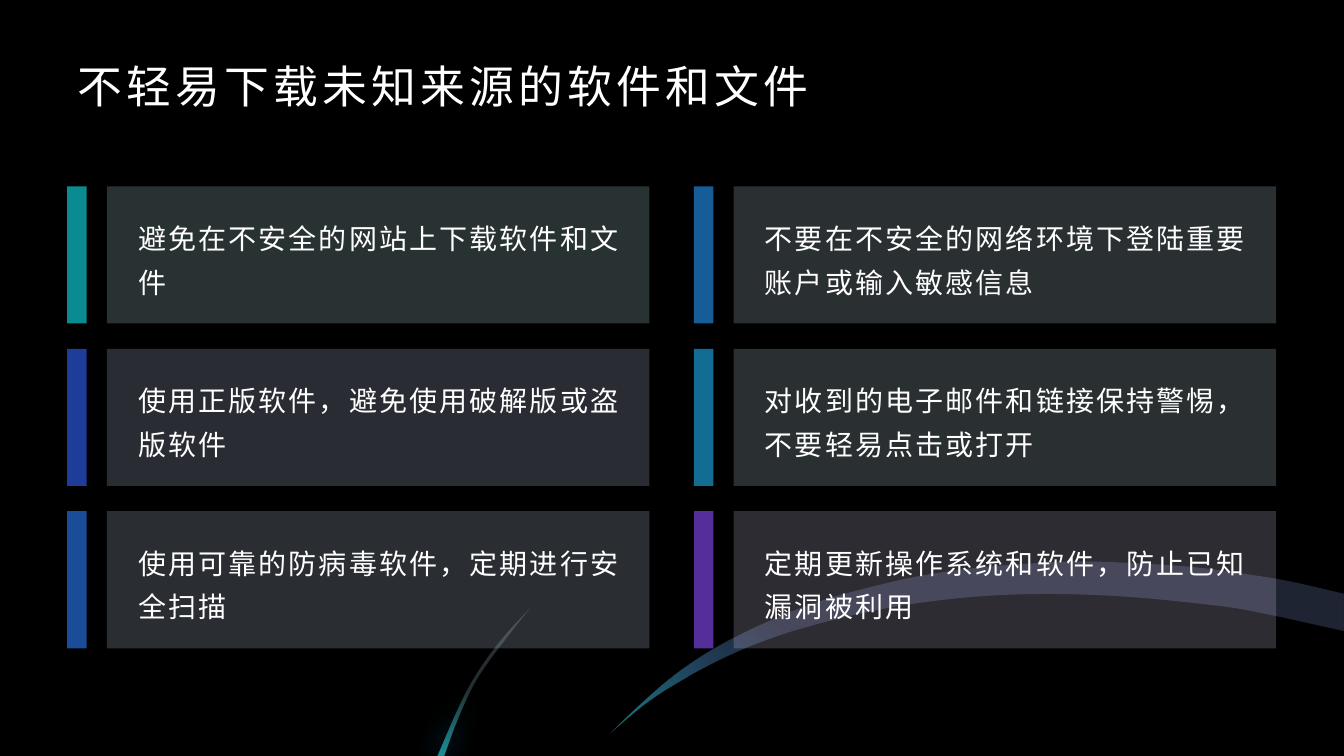
"""Build a dark slide of six safety tips over two curved light trails."""
from lxml import etree
from pptx import Presentation
from pptx import util as u
from pptx.dml.color import RGBColor
from pptx.enum import shapes, text
from pptx.oxml import parse_xml
from pptx.oxml.ns import nsdecls, qn

WHITE = "FFFFFF"
TIPS = [
    [("避免在不安全的网站上下载软件和文件", "CFFBFC", "10E9F2"),
     ("使用正版软件，避免使用破解版或盗版软件", "D6E0FF", "3366FF"),
     ("使用可靠的防病毒软件，定期进行安全扫描", "D5E6FE", "2C80FC")],
    [("不要在不安全的网络环境下登陆重要账户或输入敏感信息", "D3EBFE", "259AFA"),
     ("对收到的电子邮件和链接保持警惕，不要轻易点击或打开", "D2F0FD", "1EB5F7"),
     ("定期更新操作系统和软件，防止已知漏洞被利用", "E8DCFF", "8E4FFF")],
]
RIBBON_TOP = [
    (435.6, 524.2), (458, 502.6), (482.4, 481.7), (510.5, 463), (542.9, 446.4),
    (580.3, 431.3), (619.9, 419.8), (662.4, 410.4), (707, 404.6), (748, 401.8),
    (775.4, 401), (816.5, 402.5), (856, 405.4), (892.8, 410.4), (922.3, 415.4),
    (960, 424.1)]
RIBBON_BOTTOM = [
    (960, 450.7), (907.2, 439.2), (869.8, 432.7), (793.4, 425.5), (720, 424.8),
    (652.3, 431.3), (589.7, 444.2), (541.4, 459.4), (499.7, 478.8),
    (464.4, 500.4), (435.6, 524.2)]
BLADE_LEFT = [(312.5, 540), (333.4, 493.4), (354.7, 461.1), (378.7, 434.2)]
BLADE_RIGHT = [(378.7, 434.2), (345.2, 478.1), (329.8, 507.3), (317.5, 540)]


def paint(target, color, alpha=100):
    """Give a fill a solid colour with an opacity in percent."""
    target.solid()
    target.fore_color.rgb = RGBColor.from_string(color)
    if alpha < 100:
        swatch = target._xPr.find(".//" + qn("a:srgbClr"))
        etree.SubElement(swatch, qn("a:alpha"), val=str(alpha * 1000))


def paint_gradient(shape, stops, angle):
    """Replace a shape's fill by a linear gradient of (position, colour, alpha)."""
    marks = "".join(
        f'<a:gs pos="{place * 1000}"><a:srgbClr val="{color}">'
        f'<a:alpha val="{alpha * 1000}"/></a:srgbClr></a:gs>'
        for place, color, alpha in stops)
    gradient = parse_xml(
        f'<a:gradFill {nsdecls("a")} rotWithShape="1"><a:gsLst>{marks}</a:gsLst>'
        f'<a:lin ang="{angle * 60000}" scaled="0"/></a:gradFill>')
    solid = shape._element.spPr.find(qn("a:solidFill"))
    solid.getparent().replace(solid, gradient)


def add_glow(shape, color, blur):
    """Add a soft centred shadow around a shape."""
    effects = shape._element.spPr.find(qn("a:effectLst"))
    effects.append(parse_xml(
        f'<a:outerShdw {nsdecls("a")} blurRad="{u.Pt(blur)}" dist="0" '
        f'algn="ctr" rotWithShape="0"><a:srgbClr val="{color}"/></a:outerShdw>'))


def smooth(points, steps=6):
    """Return a Catmull-Rom curve through the points."""
    padded = [points[0], *points, points[-1]]
    curve = [points[0]]
    for a, b, c, d in zip(padded, padded[1:], padded[2:], padded[3:]):
        for step in range(1, steps + 1):
            t = step / steps
            curve.append(tuple(
                0.5 * (2 * q + (r - p) * t + (2 * p - 5 * q + 4 * r - s) * t ** 2
                       + (3 * q - p - 3 * r + s) * t ** 3)
                for p, q, r, s in zip(a, b, c, d)))
    return curve


def finish(shape, color, alpha=100):
    """Fill a shape and remove its line and shadow."""
    shape.shadow.inherit = False
    paint(shape.fill, color, alpha)
    shape.line.fill.background()
    return shape


def add_trail(page, edges, color):
    """Draw a closed outline whose edges are smooth curves."""
    outline = [(u.Pt(x), u.Pt(y)) for edge in edges for x, y in smooth(edge)]
    builder = page.shapes.build_freeform(*outline[0])
    builder.add_line_segments(outline[1:], close=True)
    return finish(builder.convert_to_shape(), color)


def add_block(page, left, top, width, height, color, alpha):
    """Draw a translucent rectangle."""
    block = page.shapes.add_shape(
        shapes.MSO_SHAPE.RECTANGLE, *map(u.Pt, (left, top, width, height)))
    finish(block, color, alpha)


def write(frame, words, font_name, size, tracking):
    """Write one white left-aligned paragraph with letter spacing."""
    frame.word_wrap = True
    frame.auto_size = text.MSO_AUTO_SIZE.NONE
    para = frame.paragraphs[0]
    para.text = words
    para.alignment = text.PP_ALIGN.LEFT
    para.font.name = font_name
    para.font.size = u.Pt(size)
    para.font.color.rgb = RGBColor.from_string(WHITE)
    para.font._rPr.set("spc", str(int(tracking * 100)))
    return para


def add_title(page, words):
    """Place and format the title."""
    title = page.shapes.title
    title.left, title.top, title.width, title.height = map(u.Pt, (48, 36, 864, 44.6))
    frame = title.text_frame
    frame.margin_top = frame.margin_bottom = 0
    frame.vertical_anchor = text.MSO_ANCHOR.BOTTOM
    write(frame, words, "Roboto", 32, 3)


def add_tip(page, left, top, words, tint, accent):
    """Draw a tip: a tinted panel, an accent bar and its text."""
    height = 97.9
    add_block(page, left + 28.4, top, 387.4, height, tint, 20)
    add_block(page, left, top, 14, height, accent, 60)
    box = page.shapes.add_textbox(
        *map(u.Pt, (left + 43.5, top + 8.6, 363.6, height - 17.2)))
    box.text_frame.vertical_anchor = text.MSO_ANCHOR.MIDDLE
    para = write(box.text_frame, words, "Karla", 20, 1.5)
    para.line_spacing = 1.3


def main():
    """Build and save the slide."""
    deck = Presentation()
    deck.slide_width, deck.slide_height = u.Pt(960), u.Pt(540)
    page = deck.slides.add_slide(deck.slide_layouts.get_by_name("Title Only"))
    paint(page.background.fill, "000000")

    ribbon, blade = (RIBBON_TOP, RIBBON_BOTTOM), (BLADE_LEFT, BLADE_RIGHT)
    add_trail(page, ribbon, "1E1D1B")
    add_trail(page, blade, "252D30")
    paint_gradient(add_trail(page, ribbon, WHITE),
                   [(0, "10E9F2", 50), (31, "3366FF", 10)], 315)
    bright_blade = add_trail(page, blade, WHITE)
    paint_gradient(bright_blade, [(55, "10E9F2", 0), (100, "10E9F2", 50)], 90)
    add_glow(bright_blade, "1EB5F7", 20)

    add_title(page, "不轻易下载未知来源的软件和文件")
    for column, tips in enumerate(TIPS):
        for row, tip in enumerate(tips):
            add_tip(page, 48 + 447.7 * column, 133.2 + 116 * row, *tip)
    deck.save("out.pptx")


if __name__ == "__main__":
    main()
